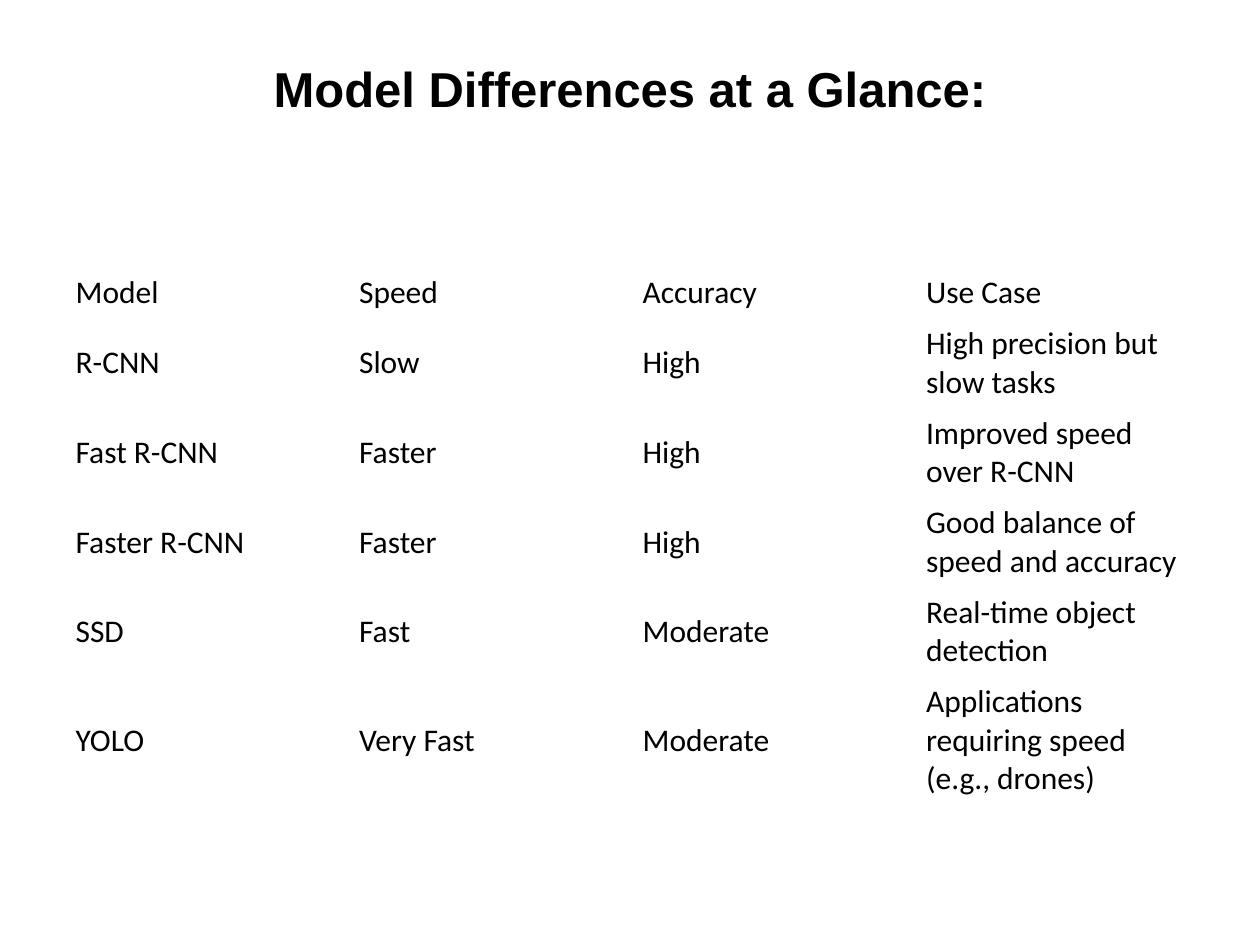
from dataclasses import dataclass

from pptx import Presentation
from pptx.dml.color import RGBColor
from pptx.enum.text import MSO_ANCHOR, PP_ALIGN
from pptx.util import Pt

MIDDLE = MSO_ANCHOR.MIDDLE
LEFT, CENTER = PP_ALIGN.LEFT, PP_ALIGN.CENTER


@dataclass(frozen=True)
class Theme:
    ink: RGBColor = RGBColor(0, 0, 0)
    head: str = "Arial"
    body: str = "Calibri"
    big: int = 28
    base: int = 18
    line: int = 22
    pad: float = 7.2


THEME = Theme()

ROWS = [
    (1, "Model", "Speed", "Accuracy", "Use Case"),
    (2, "R-CNN", "Slow", "High", "High precision but slow tasks"),
    (2, "Fast R-CNN", "Faster", "High", "Improved speed over R-CNN"),
    (2, "Faster R-CNN", "Faster", "High", "Good balance of speed and accuracy"),
    (2, "SSD", "Fast", "Moderate", "Real-time object detection"),
    (3, "YOLO", "Very Fast", "Moderate",
     "Applications requiring speed (e.g., drones)"),
]


def write(frame, text, font=THEME.body, size=THEME.base, bold=False, align=LEFT):
    para = frame.paragraphs[0]
    para.alignment = align
    run = para.add_run()
    run.text = text
    run.font.name = font
    run.font.size = Pt(size)
    run.font.bold = bold
    run.font.color.rgb = THEME.ink


def add_title(slide, left, top, width, height):
    box = slide.shapes.add_textbox(Pt(left), Pt(top), Pt(width), Pt(height))
    frame = box.text_frame
    frame.word_wrap = True
    frame.vertical_anchor = MIDDLE
    frame.margin_bottom = Pt(36)
    write(frame, "Model Differences at a Glance:", font=THEME.head,
          size=THEME.big, bold=True, align=CENTER)


def add_grid(slide, left, top, width):
    highs = [THEME.pad + THEME.line * row[0] for row in ROWS]
    count = len(ROWS[0]) - 1
    table = slide.shapes.add_table(
        len(ROWS), count, Pt(left), Pt(top), Pt(width), Pt(sum(highs))).table
    table.first_row = False
    table.horz_banding = False
    for col in table.columns:
        col.width = Pt(width / count)
    for row, high, (_, *texts) in zip(table.rows, highs, ROWS):
        row.height = Pt(high)
        for cell, text in zip(row.cells, texts):
            cell.fill.background()
            cell.vertical_anchor = MIDDLE
            write(cell.text_frame, text)


def main():
    deck = Presentation()
    deck.slide_width, deck.slide_height = Pt(720), Pt(540)
    slide = deck.slides.add_slide(deck.slide_layouts[6])
    add_title(slide, 36, 21.6, 648, 90)
    add_grid(slide, 36, 152.64, 648)
    deck.save("out.pptx")


if __name__ == "__main__":
    main()
